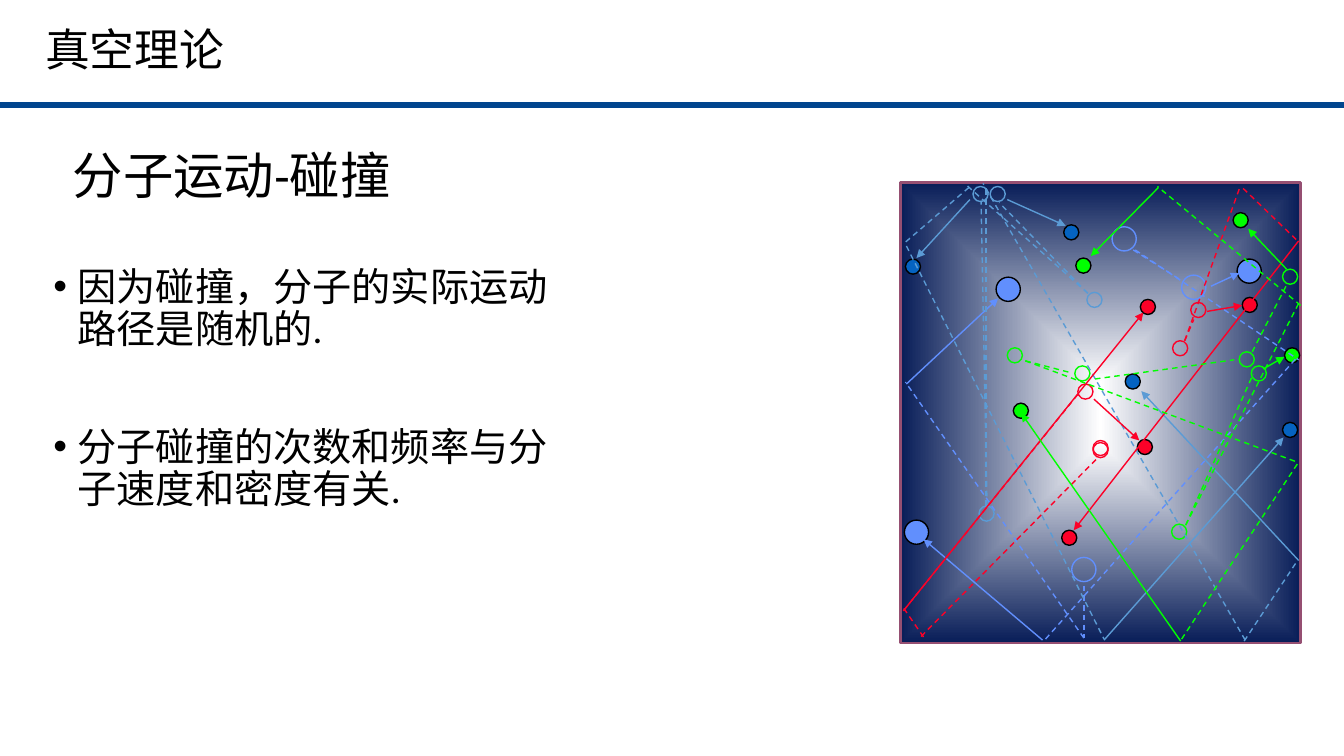
from dataclasses import dataclass

from lxml.etree import SubElement
from pptx import Presentation
from pptx.dml.color import RGBColor
from pptx.enum.dml import MSO_LINE
from pptx.enum.shapes import MSO_CONNECTOR, MSO_SHAPE
from pptx.enum.text import MSO_ANCHOR, MSO_AUTO_SIZE, PP_ALIGN
from pptx.oxml.ns import qn
from pptx.shapes.autoshape import Shape
from pptx.shapes.connector import Connector
from pptx.text.text import TextFrame
from pptx.util import Emu, Pt

PX = 9144  # 100 px to the inch

BLACK = RGBColor(0x00, 0x00, 0x00)
WHITE = RGBColor(0xFF, 0xFF, 0xFF)
NAVY = RGBColor(0x08, 0x1D, 0x58)
PLUM = RGBColor(0x95, 0x4F, 0x72)
RULE = RGBColor(0x01, 0x45, 0x8E)
GREEN = RGBColor(0x00, 0xFF, 0x00)
RED = RGBColor(0xFC, 0x01, 0x28)
BLUE = RGBColor(0x61, 0x8F, 0xFD)
SKY = RGBColor(0x5B, 0x9B, 0xD5)
DEEP = RGBColor(0x05, 0x63, 0xC1)

Spot = tuple[int, int]
Path = tuple[int, int, int, int]


@dataclass
class Gas:
    """One kind of molecule: where it is, where it was, and its tracks."""
    line: RGBColor
    fill: RGBColor
    size: int
    dots: list[Spot]
    rings: list[Spot]
    dashes: list[Path]
    arrows: list[Path]


GASES = [
    Gas(BLUE, BLUE, 24,
        dots=[(1227, 257), (988, 275), (897, 516)],
        rings=[(1063, 553), (1172, 273), (1103, 225)],
        dashes=[(1124, 248, 1173, 279), (1075, 581, 1075, 633),
                (1126, 248, 1288, 357), (1037, 634, 1286, 355),
                (1075, 633, 898, 379)],
        arrows=[(1201, 284, 1229, 271), (1034, 635, 916, 535),
                (899, 381, 990, 296)]),
    Gas(SKY, DEEP, 15,
        dots=[(1055, 223), (898, 257), (1116, 371), (1272, 419)],
        rings=[(1078, 290), (982, 185), (965, 185), (971, 502)],
        dashes=[(979, 502, 973, 199), (1079, 291, 991, 201),
                (978, 502, 978, 184), (1079, 291, 959, 184),
                (961, 186, 896, 242), (899, 244, 1095, 634),
                (1235, 635, 975, 182), (1234, 636, 1287, 556)],
        arrows=[(962, 198, 909, 256), (999, 198, 1057, 224),
                (1095, 635, 1273, 434), (1288, 556, 1132, 388)]),
    Gas(RED, RED, 15,
        dots=[(1232, 295), (1128, 436), (1131, 297), (1053, 526)],
        rings=[(1084, 437), (1084, 439), (1069, 381), (1181, 300),
               (1163, 338)],
        dashes=[(1175, 338, 1184, 317), (896, 606, 1070, 390),
                (1087, 456, 913, 632), (1175, 338, 1230, 185),
                (1233, 187, 1287, 239), (916, 632, 896, 603)],
        arrows=[(1085, 396, 1130, 437), (1197, 309, 1232, 303),
                (1288, 239, 1065, 526), (896, 606, 1134, 310)]),
    Gas(GREEN, GREEN, 15,
        dots=[(1223, 211), (1274, 345), (1005, 400), (1067, 256)],
        rings=[(999, 345), (1162, 520), (1066, 363), (1241, 363),
               (1229, 349), (1272, 267)],
        dashes=[(1017, 358, 1063, 370), (1176, 521, 1243, 371),
                (1086, 376, 1224, 357), (1242, 349, 1277, 281),
                (1017, 358, 1288, 459), (1176, 521, 1288, 301),
                (1290, 303, 1148, 185), (1172, 634, 1289, 457)],
        arrows=[(1253, 366, 1274, 354), (1276, 267, 1238, 227),
                (1149, 186, 1082, 254), (1171, 636, 1013, 410)]),
]

BODY = ["因为碰撞，分子的实际运动路径是随机的.",
        "分子碰撞的次数和频率与分子速度和密度有关."]


def px(num: int) -> Emu:
    return Emu(num * PX)


def place(shape: Shape, left: int, top: int, width: int, height: int) -> None:
    shape.left, shape.top = px(left), px(top)
    shape.width, shape.height = px(width), px(height)


def fill_text(frame: TextFrame, lines: list[str], size: int, face: str,
              lead: float = 1.0, gap: int = 0, hang: int = 0) -> None:
    frame.word_wrap = True
    frame.auto_size = MSO_AUTO_SIZE.NONE
    for i, line in enumerate(lines):
        para = frame.add_paragraph() if i else frame.paragraphs[0]
        para.text = line
        para.alignment = PP_ALIGN.LEFT
        para.line_spacing = lead
        para.space_before = Pt(gap if i else 0)
        if hang:
            props = para._p.get_or_add_pPr()
            props.set("marL", str(px(hang)))
            props.set("indent", str(-px(hang)))
            SubElement(props, qn("a:buChar")).set("char", "•")
        para.font.size = Pt(size)
        para.font.name = face
        para.font.color.rgb = BLACK


def add_line(shapes, track: Path, color: RGBColor, width: float) -> Connector:
    line = shapes.add_connector(MSO_CONNECTOR.STRAIGHT, *map(px, track))
    line.line.color.rgb = color
    line.line.width = Pt(width)
    SubElement(line._element.spPr, qn("a:effectLst"))
    return line


def add_arrow(shapes, track: Path, color: RGBColor) -> None:
    line = add_line(shapes, track, color, 1)
    edge = line._element.spPr.find(qn("a:ln"))
    SubElement(edge, qn("a:tailEnd")).set("type", "triangle")


def add_ball(shapes, spot: Spot, gas: Gas, solid: bool) -> None:
    ball = shapes.add_shape(MSO_SHAPE.OVAL, *map(px, (*spot, gas.size, gas.size)))
    ball.shadow.inherit = False
    if solid:
        ball.fill.solid()
        ball.fill.fore_color.rgb = gas.fill
    else:
        ball.fill.background()
    ball.line.color.rgb = BLACK if solid else gas.line
    ball.line.width = Pt(1)


def add_room(shapes) -> None:
    room = shapes.add_shape(MSO_SHAPE.RECTANGLE, *map(px, (893, 181, 397, 457)))
    room.shadow.inherit = False
    room.line.color.rgb = PLUM
    room.line.width = Pt(2)
    room.fill.gradient()
    for stop, color in zip(room.fill.gradient_stops, (WHITE, NAVY)):
        stop.color.rgb = color
    # Glow outwards from the centre
    grad = room._element.spPr.find(qn("a:gradFill"))
    grad.remove(grad.find(qn("a:lin")))
    glow = SubElement(grad, qn("a:path"))
    glow.set("path", "shape")
    core = SubElement(glow, qn("a:fillToRect"))
    for side in "ltrb":
        core.set(side, "50000")


def main() -> None:
    deck = Presentation()
    deck.slide_width, deck.slide_height = px(1333), px(750)
    slide = deck.slides.add_slide(deck.slide_layouts[1])

    # Header
    add_line(slide.shapes, (0, 104, 1336, 104), RULE, 4.5)
    head = slide.shapes.add_textbox(*map(px, (35, 17, 670, 64)))
    fill_text(head.text_frame, ["真空理论"], 32, "Noto Sans CJK SC")

    # Title and list
    title, body = slide.placeholders
    place(title, 62, 112, 1134, 129)
    title.text_frame.vertical_anchor = MSO_ANCHOR.MIDDLE
    fill_text(title.text_frame, ["分子运动-碰撞"], 36, "Calibri", 0.9)
    place(body, 43, 260, 514, 457)
    fill_text(body.text_frame, BODY, 28, "Calibri", 0.9, gap=54, hang=24)

    # Chamber with molecules, then their tracks
    group = slide.shapes.add_group_shape().shapes
    add_room(group)
    for gas in GASES:
        for spot in gas.rings:
            add_ball(group, spot, gas, solid=False)
        for spot in gas.dots:
            add_ball(group, spot, gas, solid=True)
    for gas in GASES:
        for track in gas.dashes:
            add_line(group, track, gas.line, 1).line.dash_style = MSO_LINE.DASH
        for track in gas.arrows:
            add_arrow(group, track, gas.line)

    deck.save("out.pptx")


if __name__ == "__main__":
    main()
